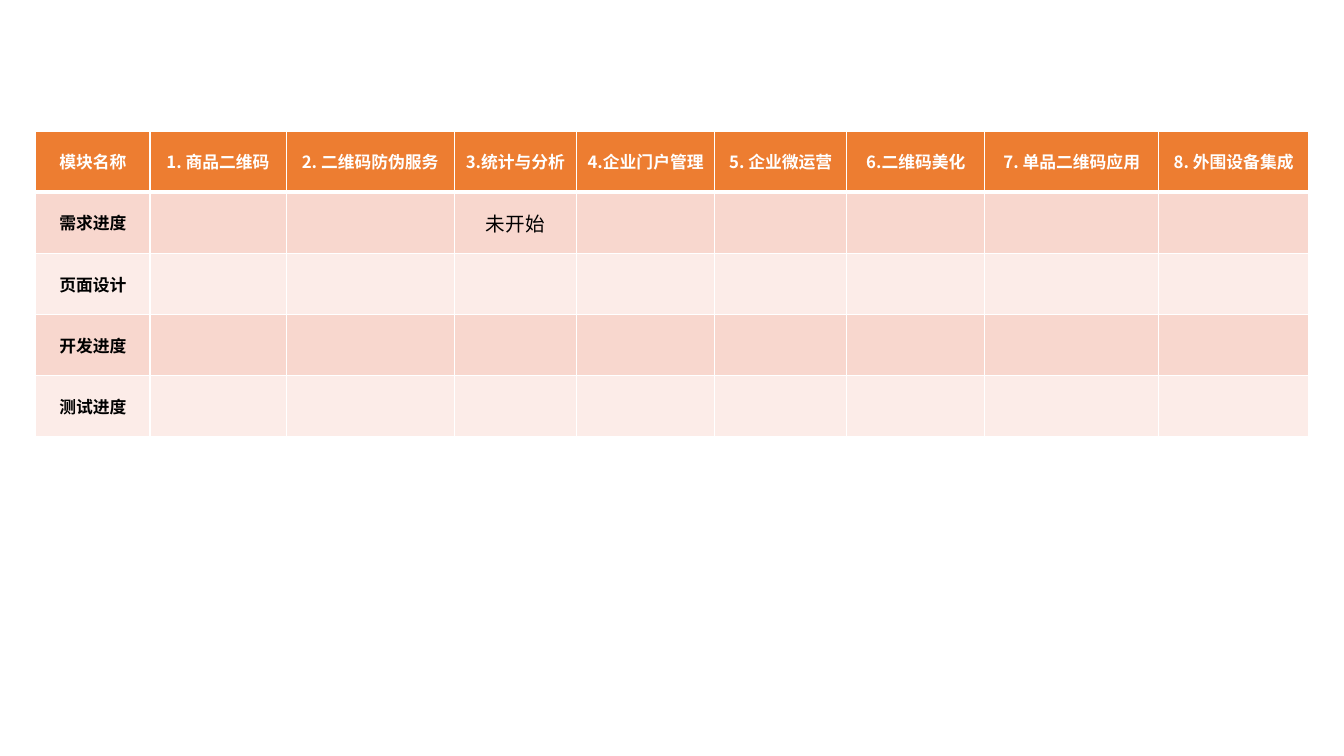
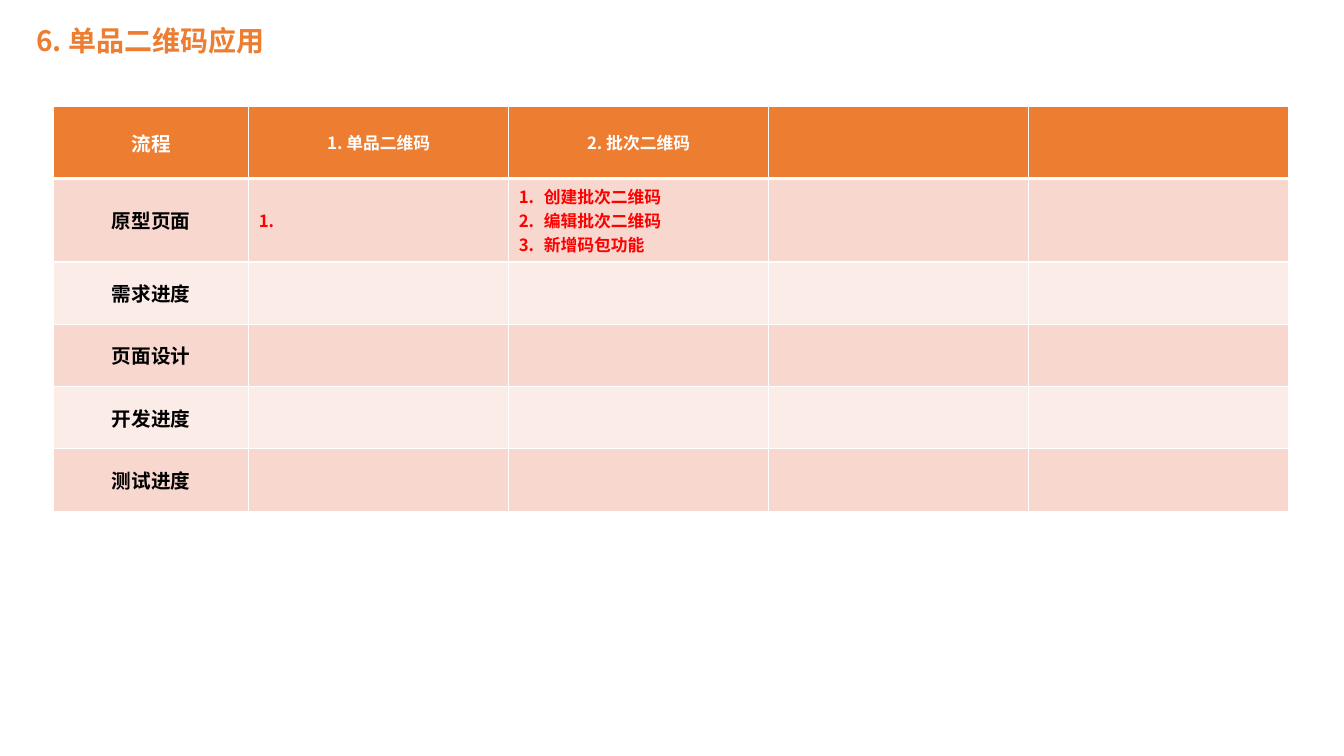
from lxml.etree import SubElement
from pptx import Presentation
from pptx.dml.color import RGBColor
from pptx.enum.text import MSO_ANCHOR, MSO_AUTO_SIZE, PP_ALIGN
from pptx.oxml.ns import qn
from pptx.util import Cm, Pt

FONT = "Noto Sans CJK SC"
ORANGE, WHITE, BLACK, RED = "ED7D31", "FFFFFF", "000000", "FF0000"
BANDS = ("F8D7CE", "FCECE8")
TITLE_ONLY, BLANK = 5, 6
STAGES = ["需求进度", "页面设计", "开发进度", "测试进度"]


def rgb(value):
    return RGBColor.from_string(value)


def style_paragraph(paragraph, size, color, bold=True, align=PP_ALIGN.CENTER):
    paragraph.alignment = align
    for run in paragraph.runs:
        run.font.size = Pt(size)
        run.font.bold = bold
        run.font.color.rgb = rgb(color)
        run.font.name = FONT
        SubElement(run.font._element, qn("a:ea"), typeface=FONT)


def number_paragraph(paragraph):
    properties = paragraph._p.get_or_add_pPr()
    properties.set("marL", str(Cm(0.63)))
    properties.set("indent", str(-Cm(0.63)))
    SubElement(properties, qn("a:buAutoNum"), type="arabicPeriod")


def draw_borders(cell, row):
    """White grid, with a heavier rule between header and body."""
    widths = {"L": 1, "R": 1, "T": 3 if row == 1 else 1, "B": 3 if row == 0 else 1}
    for side, width in widths.items():
        line = SubElement(cell._tc.get_or_add_tcPr(), qn(f"a:ln{side}"), w=str(Pt(width)))
        fill = SubElement(line, qn("a:solidFill"))
        SubElement(fill, qn("a:srgbClr"), val=WHITE)


def fill_cell(cell, text, size, color, **style):
    cell.text = text
    for paragraph in cell.text_frame.paragraphs:
        style_paragraph(paragraph, size, color, **style)


def add_progress_table(slide, left, top, widths, heights, headers, stages, label_size):
    """Orange header row above banded rows, each opened by a stage name."""
    table = slide.shapes.add_table(len(heights), len(widths), Cm(left), Cm(top),
                                   Cm(sum(widths)), Cm(sum(heights))).table
    for column, width in zip(table.columns, widths):
        column.width = Cm(width)
    for index, (row, height) in enumerate(zip(table.rows, heights)):
        row.height = Cm(height)
        for cell in row.cells:
            draw_borders(cell, index)
            cell.fill.solid()
            cell.fill.fore_color.rgb = rgb(BANDS[(index - 1) % 2] if index else ORANGE)
            cell.vertical_anchor = MSO_ANCHOR.MIDDLE
    for index, header in enumerate(headers):
        fill_cell(table.cell(0, index), header, 12 if index else label_size, WHITE)
    for index, stage in enumerate(stages, 1):
        fill_cell(table.cell(index, 0), stage, label_size, BLACK)
    return table


def add_title(slide, text, left, top, width, height):
    title = slide.shapes.title
    title.left, title.top, title.width, title.height = map(Cm, (left, top, width, height))
    frame = title.text_frame
    frame.text = text
    frame.word_wrap = True
    frame.auto_size = MSO_AUTO_SIZE.NONE
    frame.vertical_anchor = MSO_ANCHOR.TOP
    frame.paragraphs[0].line_spacing = 0.81
    style_paragraph(frame.paragraphs[0], 20, ORANGE, align=PP_ALIGN.LEFT)


def build_module_overview(deck):
    slide = deck.slides.add_slide(deck.slide_layouts[BLANK])
    modules = ["模块名称", "1. 商品二维码", "2. 二维码防伪服务", "3.统计与分析", "4.企业门户管理",
               "5. 企业微运营", "6.二维码美化", "7. 单品二维码应用", "8. 外围设备集成"]
    widths = [2.88, 3.43, 4.24, 3.08, 3.48, 3.33, 3.48, 4.38, 3.78]
    table = add_progress_table(slide, 0.9, 3.3, widths, [1.54] * 5, modules, STAGES, 12)
    fill_cell(table.cell(1, 3), "未开始", 14, BLACK, bold=False)


def build_item_code_progress(deck):
    slide = deck.slides.add_slide(deck.slide_layouts[TITLE_ONLY])
    add_title(slide, "6. 单品二维码应用", 0.66, 0.63, 6.3, 1.9)
    headers = ["流程", "1. 单品二维码", "2. 批次二维码"]
    table = add_progress_table(slide, 1.35, 2.68, [4.92] + [6.55] * 4,
                               [1.82, 2.1] + [1.57] * 4, headers, ["原型页面"] + STAGES, 14)
    fill_cell(table.cell(1, 1), "1.", 12, RED, align=PP_ALIGN.LEFT)
    batch = table.cell(1, 2)
    fill_cell(batch, "创建批次二维码\n编辑批次二维码\n新增码包功能", 12, RED, align=PP_ALIGN.LEFT)
    for paragraph in batch.text_frame.paragraphs:
        number_paragraph(paragraph)


def main():
    deck = Presentation()
    deck.slide_width, deck.slide_height = Cm(33.87), Cm(19.05)
    build_module_overview(deck)
    build_item_code_progress(deck)
    deck.save("out.pptx")


if __name__ == "__main__":
    main()
